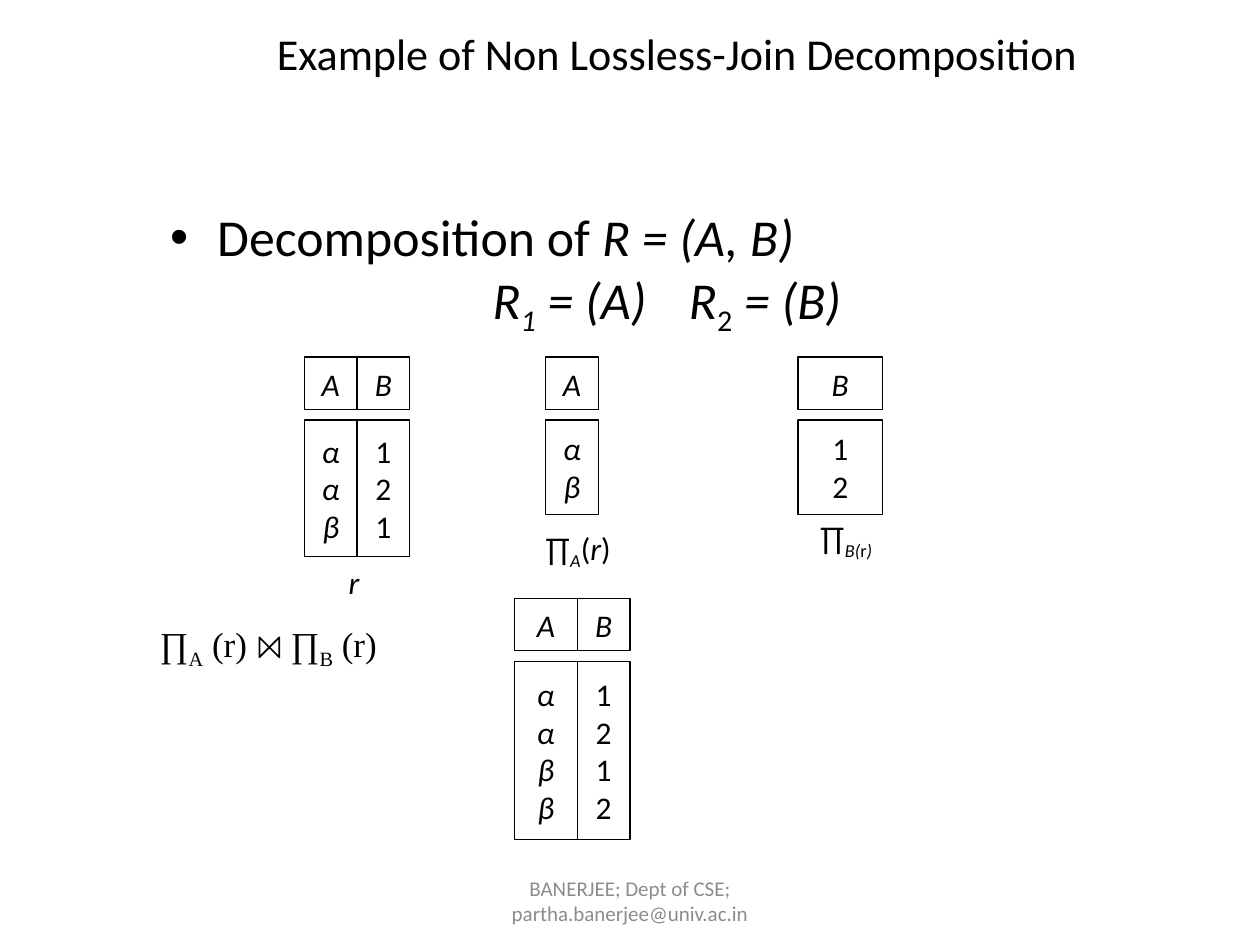
from dataclasses import dataclass

from lxml.etree import SubElement
from pptx import Presentation
from pptx.dml.color import RGBColor
from pptx.enum.shapes import MSO_SHAPE
from pptx.enum.text import MSO_ANCHOR, MSO_AUTO_SIZE, PP_ALIGN
from pptx.oxml.ns import qn
from pptx.util import Cm, Pt


@dataclass(frozen=True)
class Theme:
    """Colours, fonts and type sizes in one place."""
    ink: RGBColor = RGBColor(0, 0, 0)
    paper: RGBColor = RGBColor(255, 255, 255)
    muted: RGBColor = RGBColor(0x8C, 0x8C, 0x8C)
    font: str = "Calibri"
    formula_font: str = "Times New Roman"
    title_size: float = 25.2
    body_size: float = 29.6
    cell_size: float = 18
    formula_size: float = 20
    footer_size: float = 12
    cell_line: float = 0.75
    symbol_line: float = 1


THEME = Theme()


def write_text(paragraph, runs, *, size, font=THEME.font, color=THEME.ink,
               align=PP_ALIGN.CENTER, space_before=0):
    """Fill a paragraph from (text, marks) pairs: i = italic, s = subscript."""
    paragraph.alignment = align
    paragraph.space_before = Pt(space_before)
    for text, marks in runs:
        if text == "\n":
            paragraph.add_line_break()
            continue
        run = paragraph.add_run()
        run.text = text
        run.font.name = font
        run.font.size = Pt(size)
        run.font.color.rgb = color
        run.font.italic = "i" in marks
        if "s" in marks:
            run.font._element.set("baseline", "-25000")


def set_tabs(paragraph, tabs, bullet=None):
    """Give a paragraph left tab stops and maybe a hanging bullet."""
    properties = paragraph._p.get_or_add_pPr()
    if bullet:
        properties.set("marL", str(Cm(0.95)))
        properties.set("indent", str(-Cm(0.95)))
        SubElement(properties, qn("a:buFont"), typeface="Arial")
        SubElement(properties, qn("a:buChar"), char=bullet)
    tab_list = SubElement(properties, qn("a:tabLst"))
    for position in tabs:
        SubElement(tab_list, qn("a:tab"), pos=str(Cm(position)), algn="l")


class SlideBuilder:
    HEADER_HEIGHT = 1.06
    HEADER_GAP = 0.21

    def __init__(self, slide, theme):
        self.slide = slide
        self.theme = theme

    def title(self, text, left, top, width, height):
        shape = self.slide.shapes.title
        shape.left, shape.top = Cm(left), Cm(top)
        shape.width, shape.height = Cm(width), Cm(height)
        frame = shape.text_frame
        frame.auto_size = MSO_AUTO_SIZE.NONE
        frame.vertical_anchor = MSO_ANCHOR.MIDDLE
        write_text(frame.paragraphs[0], [(text, "")], size=self.theme.title_size)

    def text_box(self, runs, left, top, width, height, *, wrap=True,
                 anchor=MSO_ANCHOR.TOP, **text_format):
        box = self.slide.shapes.add_textbox(Cm(left), Cm(top), Cm(width), Cm(height))
        frame = box.text_frame
        frame.word_wrap = wrap
        frame.vertical_anchor = anchor
        paragraph = frame.paragraphs[0]
        write_text(paragraph, runs, **text_format)
        return paragraph

    def caption(self, runs, left, top, width):
        self.text_box(runs, left, top, width, 1.02, wrap=False,
                      anchor=MSO_ANCHOR.MIDDLE, size=self.theme.cell_size,
                      space_before=9)

    def cell(self, lines, left, top, width, height):
        shape = self.slide.shapes.add_shape(
            MSO_SHAPE.RECTANGLE, Cm(left), Cm(top), Cm(width), Cm(height))
        self.outline(shape, self.theme.cell_line)
        frame = shape.text_frame
        frame.word_wrap = False
        frame.vertical_anchor = MSO_ANCHOR.MIDDLE
        for index, line in enumerate(lines):
            paragraph = frame.add_paragraph() if index else frame.paragraphs[0]
            marks = "" if line.isdigit() else "i"
            write_text(paragraph, [(line, marks)], size=self.theme.cell_size)

    def relation(self, left, top, body_height, columns):
        """Draw a relation; each column is (name, values, width)."""
        body_top = top + self.HEADER_HEIGHT + self.HEADER_GAP
        for name, values, width in columns:
            self.cell([name], left, top, width, self.HEADER_HEIGHT)
            self.cell(values, left, body_top, width, body_height)
            left += width

    def join_symbol(self, left, top, size):
        right, bottom = left + size, top + size
        builder = self.slide.shapes.build_freeform(Cm(left), Cm(top))
        corners = [(left, bottom), (right, top), (right, bottom)]
        builder.add_line_segments([(Cm(x), Cm(y)) for x, y in corners], close=True)
        self.outline(builder.convert_to_shape(), self.theme.symbol_line)

    def outline(self, shape, line_width):
        shape.shadow.inherit = False
        shape.fill.solid()
        shape.fill.fore_color.rgb = self.theme.paper
        shape.line.color.rgb = self.theme.ink
        shape.line.width = Pt(line_width)


def main():
    presentation = Presentation()
    presentation.slide_width, presentation.slide_height = Cm(25.4), Cm(19.05)
    slide = presentation.slides.add_slide(presentation.slide_layouts[5])
    builder = SlideBuilder(slide, THEME)

    # Title and decomposition statement
    builder.title("Example of Non Lossless-Join Decomposition ", 1.9, 0.43, 23.7, 1.27)
    statement = builder.text_box(
        [("Decomposition of ", ""), ("R = (A, B)", "i"), ("\n", ""),
         ("\tR", "i"), ("1", "is"), (" = (A)\tR", "i"), ("2", "s"), (" = (B)", "i")],
        3.18, 4.01, 18.67, 2.41, size=THEME.body_size,
        align=PP_ALIGN.LEFT, space_before=6)
    set_tabs(statement, [6.5, 10.46], bullet="•")

    # Relation r and its two projections
    top, narrow = 7.2, 1.06
    builder.relation(6.14, top, 2.75, [("A", "ααβ", narrow), ("B", "121", narrow)])
    builder.relation(11, top, 1.9, [("A", "αβ", narrow)])
    builder.relation(16.09, top, 1.9, [("B", "12", 1.7)])
    builder.caption([("r", "i")], 6.78, 11.22, 0.71)
    builder.caption([("∏", ""), ("A", "is"), ("(", ""), ("r", "i"), (")", "")],
                    10.67, 10.58, 1.96)
    builder.caption([("∏", ""), ("B(", "is"), ("r", "s"), (")", "is")],
                    16.18, 10.37, 1.75)

    # Join of the projections; the tab leaves room for the join symbol
    formula = builder.text_box(
        [("∏", ""), ("A", "s"), (" (r)\t∏", ""), ("B", "s"), (" (r)", "")],
        2.97, 12.42, 6.99, 2.41, size=THEME.formula_size,
        font=THEME.formula_font, align=PP_ALIGN.LEFT, space_before=7)
    set_tabs(formula, [2.64])
    builder.relation(10.37, 12.06, 3.6, [("A", "ααββ", 1.27), ("B", "1212", narrow)])
    builder.join_symbol(5.23, 12.85, 0.4)

    # Footer
    builder.text_box([("BANERJEE; Dept of CSE; partha.banerjee@univ.ac.in", "")],
                     8.68, 17.65, 8.04, 1.02, anchor=MSO_ANCHOR.MIDDLE,
                     size=THEME.footer_size, color=THEME.muted)

    presentation.save("out.pptx")


if __name__ == "__main__":
    main()
